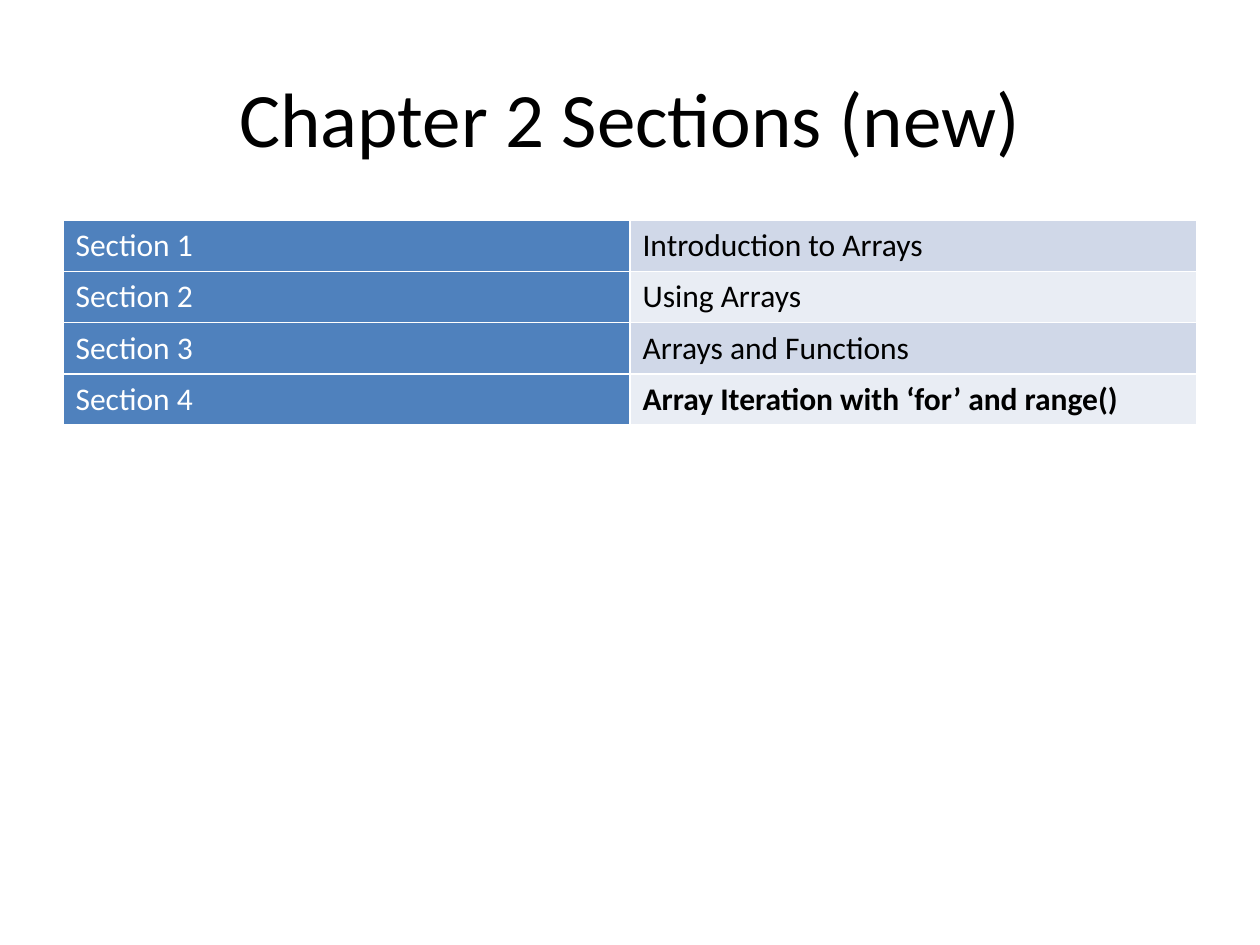
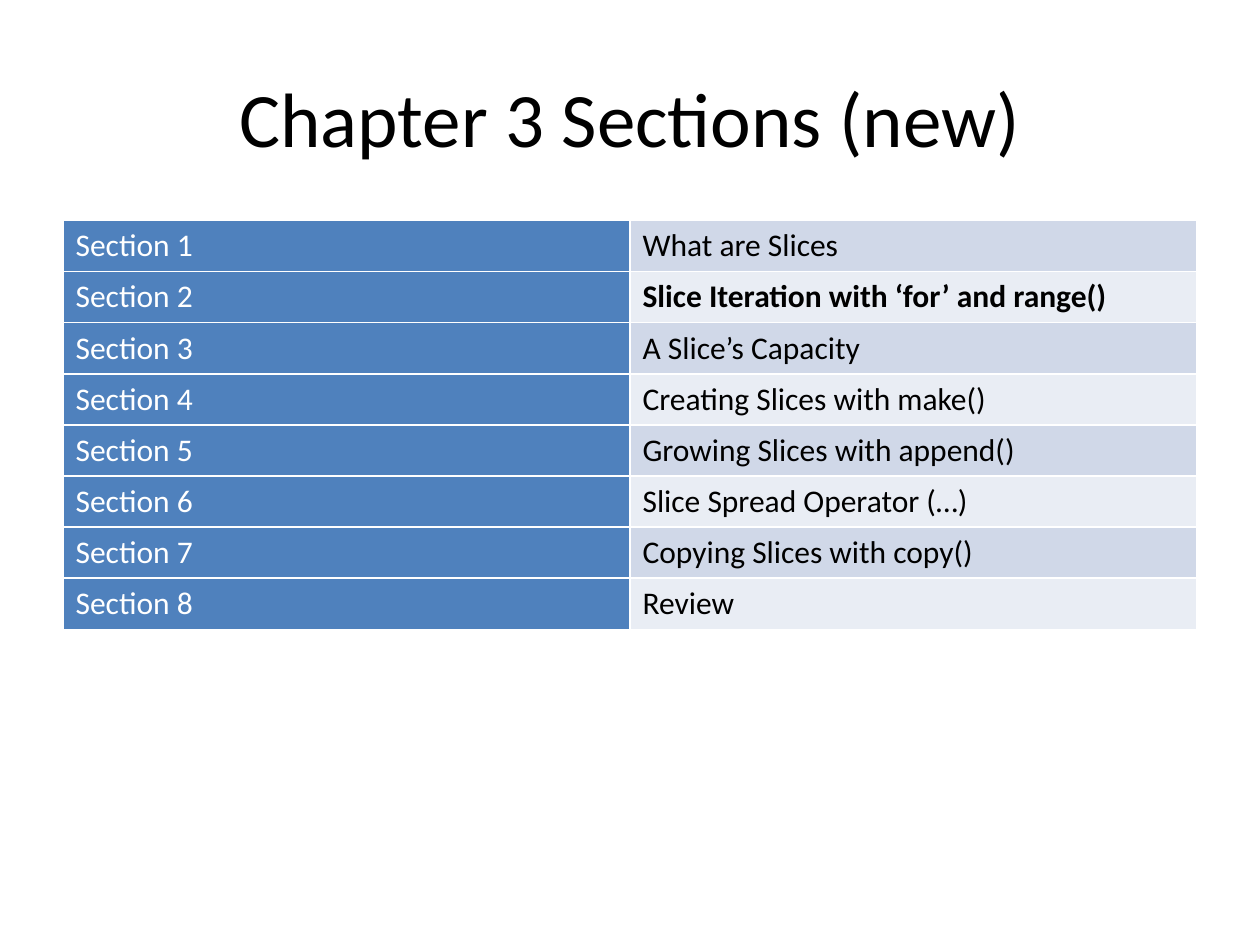
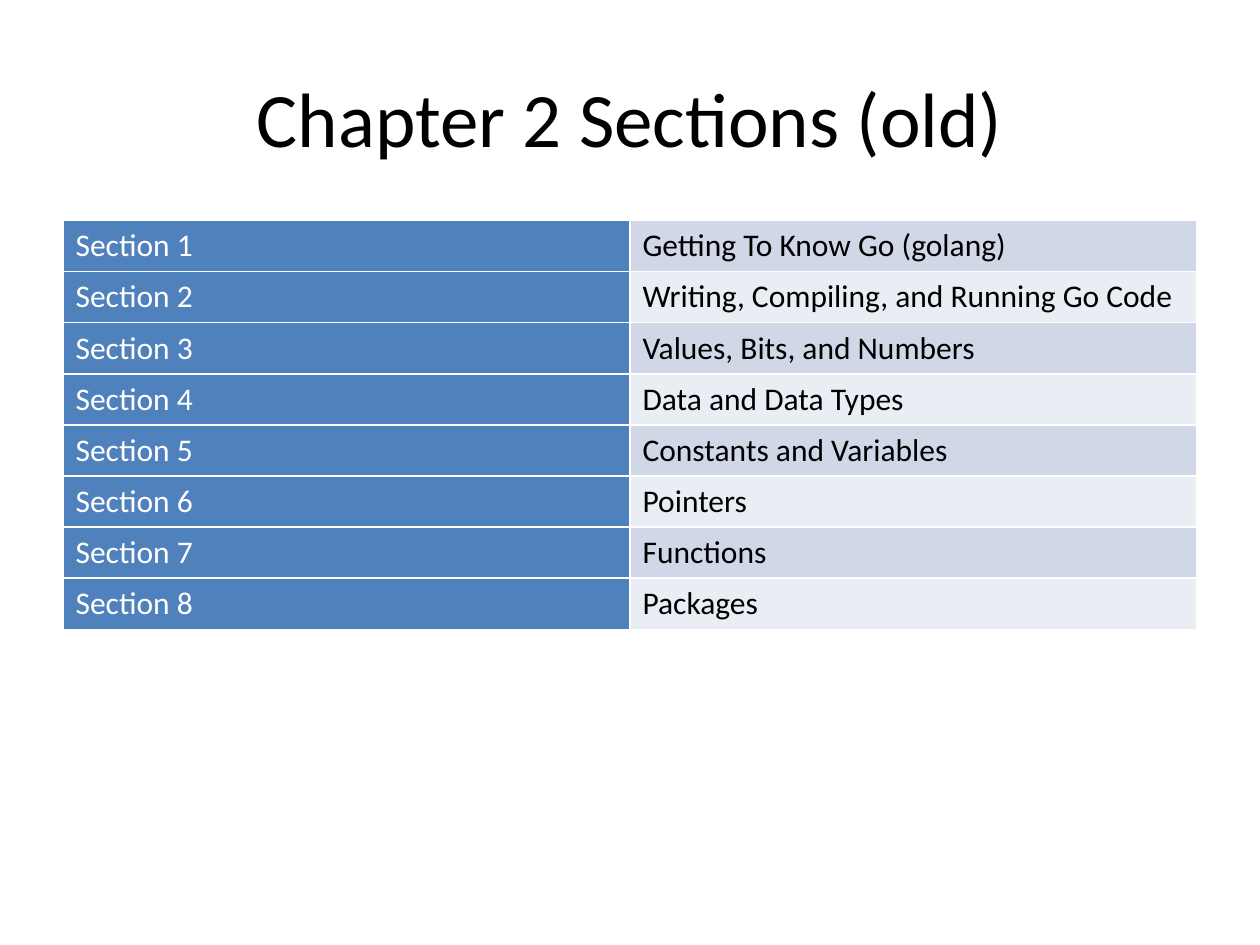
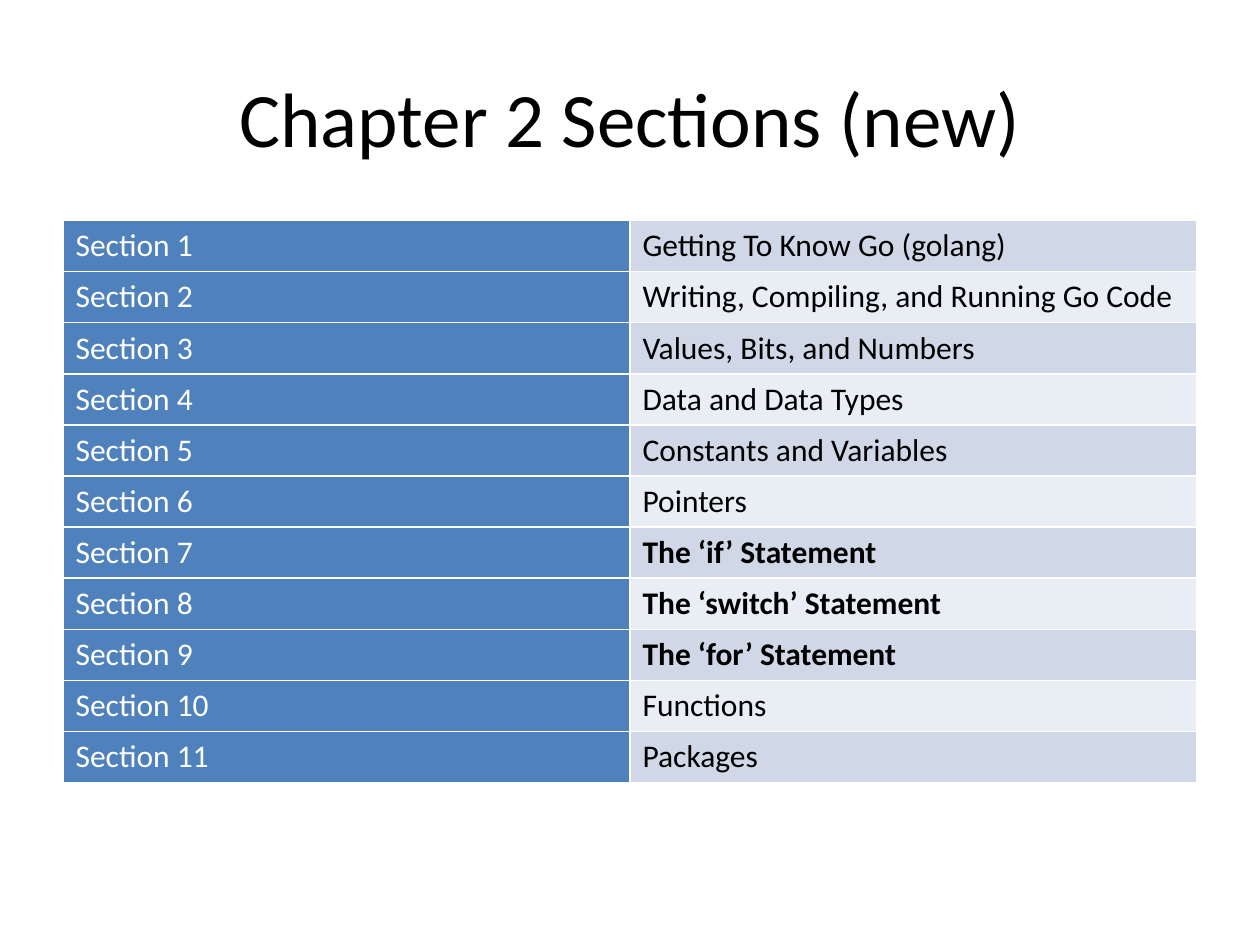
from lxml import etree
from pptx import Presentation
from pptx.dml.color import RGBColor
from pptx.enum.text import MSO_ANCHOR, PP_ALIGN
from pptx.oxml.ns import qn
from pptx.util import Pt

CENTER = PP_ALIGN.CENTER
MIDDLE = MSO_ANCHOR.MIDDLE

# Shared look
FONT = "Calibri"
BLACK = RGBColor(0x00, 0x00, 0x00)
WHITE = RGBColor(0xFF, 0xFF, 0xFF)
BLUE = RGBColor(0x4F, 0x81, 0xBD)
BANDS = (RGBColor(0xD0, 0xD8, 0xE8), RGBColor(0xE9, 0xED, 0xF4))

# Shared layout, in points
SLIDE_WIDTH, SLIDE_HEIGHT = 720, 540
MARGIN = 36
CONTENT_WIDTH = SLIDE_WIDTH - 2 * MARGIN
TITLE_TOP, TITLE_HEIGHT = 21.6, 90
TABLE_TOP, ROW_HEIGHT = 126, 29.2

# Chapter contents: topics listed in the second set are new and stand in bold
LANGUAGE_BASICS = [
    "Getting To Know Go (golang)",
    "Writing, Compiling, and Running Go Code",
    "Values, Bits, and Numbers",
    "Data and Data Types",
    "Constants and Variables",
    "Pointers",
]
STATEMENTS = ["The ‘if’ Statement", "The ‘switch’ Statement", "The ‘for’ Statement"]
CODE_UNITS = ["Functions", "Packages"]
ARRAY_ITERATION = "Array Iteration with ‘for’ and range()"
SLICE_ITERATION = "Slice Iteration with ‘for’ and range()"
NEW_TOPICS = {ARRAY_ITERATION, SLICE_ITERATION, *STATEMENTS}

CHAPTERS = [
    ("Chapter 2 Sections (new)",
     ["Introduction to Arrays", "Using Arrays", "Arrays and Functions", ARRAY_ITERATION]),
    ("Chapter 3 Sections (new)",
     ["What are Slices", SLICE_ITERATION, "A Slice’s Capacity",
      "Creating Slices with make()", "Growing Slices with append()",
      "Slice Spread Operator (…)", "Copying Slices with copy()", "Review"]),
    ("Chapter 2 Sections (old)", LANGUAGE_BASICS + CODE_UNITS),
    ("Chapter 2 Sections (new)", LANGUAGE_BASICS + STATEMENTS + CODE_UNITS),
]


def add_run(paragraph, text, size, color, bold=False):
    run = paragraph.add_run()
    run.text = text
    run.font.name = FONT
    run.font.size = Pt(size)
    run.font.bold = bold
    run.font.color.rgb = color


def add_title(slide, text):
    title = slide.shapes.add_textbox(
        Pt(MARGIN), Pt(TITLE_TOP), Pt(CONTENT_WIDTH), Pt(TITLE_HEIGHT))
    frame = title.text_frame
    frame.word_wrap = True
    frame.vertical_anchor = MIDDLE
    heading = frame.paragraphs[0]
    heading.alignment = CENTER
    add_run(heading, text, 44, BLACK)


def add_borders(cell):
    """Draw a thin white line on each side; must precede the cell's fill."""
    properties = cell._tc.get_or_add_tcPr()
    for side in ("a:lnL", "a:lnR", "a:lnT", "a:lnB"):
        line = etree.SubElement(properties, qn(side), w=str(Pt(1)))
        fill = etree.SubElement(line, qn("a:solidFill"))
        etree.SubElement(fill, qn("a:srgbClr"), val=str(WHITE))


def fill_cell(cell, text, background, color, bold=False):
    add_borders(cell)
    cell.fill.solid()
    cell.fill.fore_color.rgb = background
    add_run(cell.text_frame.paragraphs[0], text, 18, color, bold)


def add_section_table(slide, topics):
    sections = slide.shapes.add_table(
        len(topics), 2, Pt(MARGIN), Pt(TABLE_TOP),
        Pt(CONTENT_WIDTH), Pt(ROW_HEIGHT * len(topics))).table
    sections.first_row = False
    sections.first_col = True
    for index, topic in enumerate(topics):
        sections.rows[index].height = Pt(ROW_HEIGHT)
        fill_cell(sections.cell(index, 0), f"Section {index + 1}", BLUE, WHITE)
        fill_cell(sections.cell(index, 1), topic, BANDS[index % 2], BLACK,
                  topic in NEW_TOPICS)


def main():
    deck = Presentation()
    deck.slide_width, deck.slide_height = Pt(SLIDE_WIDTH), Pt(SLIDE_HEIGHT)
    blank = deck.slide_layouts[6]
    for title, topics in CHAPTERS:
        slide = deck.slides.add_slide(blank)
        add_title(slide, title)
        add_section_table(slide, topics)
    deck.save("out.pptx")


if __name__ == "__main__":
    main()
